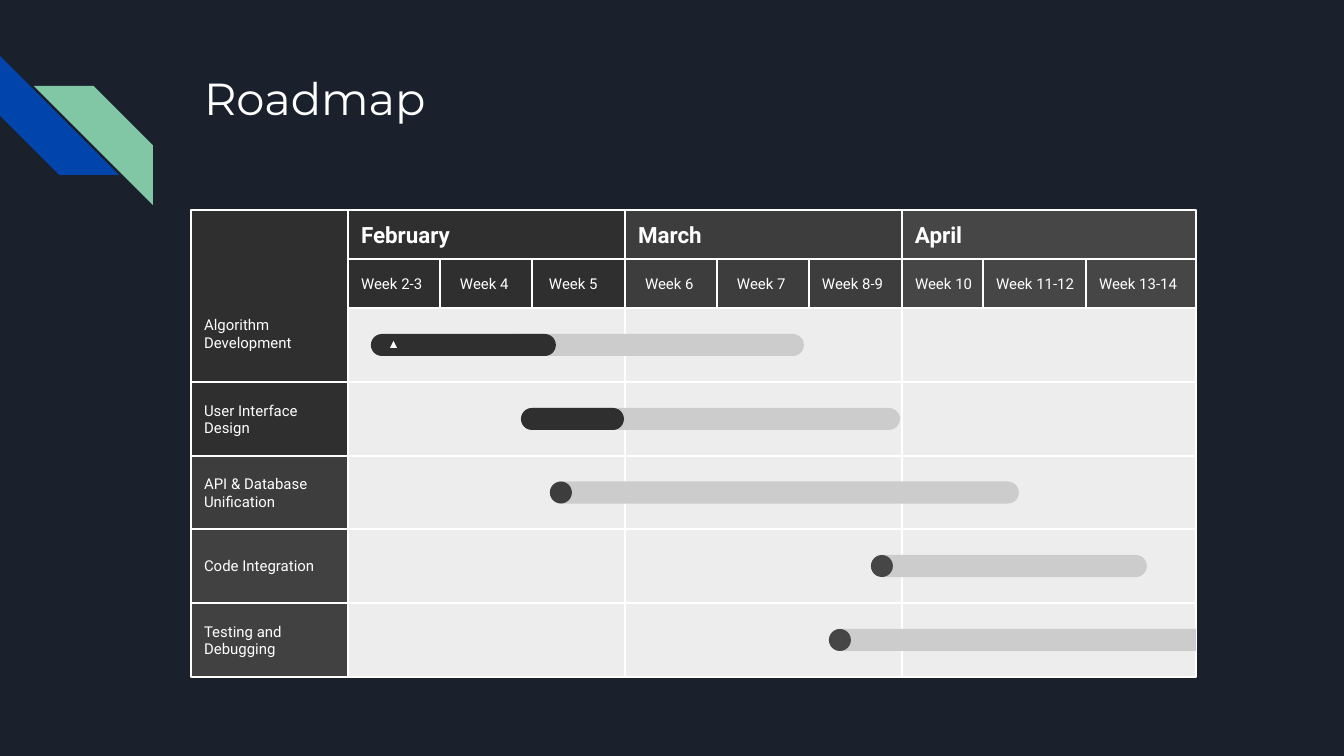
from dataclasses import dataclass

from pptx import Presentation
from pptx.dml.color import RGBColor
from pptx.enum.shapes import MSO_SHAPE
from pptx.enum.text import MSO_ANCHOR, MSO_AUTO_SIZE, PP_ALIGN
from pptx.util import Emu, Pt


@dataclass(frozen=True)
class Theme:
    background: str = "1B212C"
    white: str = "FFFFFF"
    blue: str = "0145AC"
    green: str = "82C7A5"
    cell: str = "EDEDED"
    planned: str = "CCCCCC"
    dark: str = "2F2F2F"
    medium: str = "3D3D3D"
    soft: str = "414141"
    light: str = "464646"
    title_font: str = "Montserrat"
    body_font: str = "Roboto"
    title_size: int = 24
    month_size: int = 12
    body_size: int = 8
    border: float = 0.75


THEME = Theme()
EMU_PER_PX = 914400 / 134.4
INSET = 13

# Chart grid
LABEL_LEFT, GRID_LEFT, GRID_RIGHT = 191, 348, 1196
MONTH_TOP, WEEK_TOP, GRID_TOP = 210, 259, 308
ROW_HEIGHT = 73.8
BAR_HEIGHT = 22

# Month: name, left, fill, weeks as (label, left, width, extra indent)
MONTHS = [
    ("February", GRID_LEFT, THEME.dark,
     [("Week 2-3", 348, 92, 0), ("Week 4", 440, 92, 7), ("Week 5", 532, 103, 4)]),
    ("March", 625, THEME.medium,
     [("Week 6", 625, 92, 7), ("Week 7", 717, 92, 7), ("Week 8-9", 809, 93, 0)]),
    ("April", 902, THEME.light,
     [("Week 10", 902, 92, 0), ("Week 11-12", 983, 110, 0), ("Week 13-14", 1086, 110, 0)]),
]

# Task: name, label fill, planned (left, right), done (left, right), done fill
TASKS = [
    ("Algorithm Development", THEME.dark, (504, 804), (371, 556), THEME.dark),
    ("User Interface Design", THEME.dark, (521, 900), (521, 624), THEME.dark),
    ("API & Database Unification", THEME.medium, (550, 1019), (550, 572), THEME.medium),
    ("Code Integration", THEME.soft, (871, 1147), (871, 893), THEME.light),
    ("Testing and Debugging", THEME.soft, (829, GRID_RIGHT), (829, 851), THEME.light),
]


def px(length):
    return Emu(round(length * EMU_PER_PX))


def rgb(color):
    return RGBColor.from_string(color)


def row_top(row):
    return round(GRID_TOP + row * ROW_HEIGHT)


def add_run(paragraph, text, font, size, bold=False):
    run = paragraph.add_run()
    run.text = text
    run.font.name = font
    run.font.size = Pt(size)
    run.font.bold = bold
    run.font.color.rgb = rgb(THEME.white)


def set_insets(frame, left=INSET, bottom=INSET):
    frame.margin_left, frame.margin_bottom = px(left), px(bottom)
    frame.margin_top = frame.margin_right = px(INSET)
    frame.word_wrap = True


def add_solid(slide, preset, left, top, width, height, fill):
    shape = slide.shapes.add_shape(preset, px(left), px(top), px(width), px(height))
    shape.shadow.inherit = False
    shape.fill.solid()
    shape.fill.fore_color.rgb = rgb(fill)
    shape.line.fill.background()
    return shape


def flip_horizontally(shape):
    shape.element.spPr.xfrm.set("flipH", "1")


def add_cell(slide, left, top, right, bottom, fill):
    cell = add_solid(slide, MSO_SHAPE.RECTANGLE, left, top, right - left, bottom - top, fill)
    cell.line.color.rgb = rgb(THEME.white)
    cell.line.width = Pt(THEME.border)
    return cell


def add_label(cell, text, size=THEME.body_size, bold=False, indent=0,
              anchor=MSO_ANCHOR.MIDDLE, bottom=INSET):
    frame = cell.text_frame
    set_insets(frame, INSET + indent, bottom)
    frame.vertical_anchor = anchor
    paragraph = frame.paragraphs[0]
    paragraph.alignment = PP_ALIGN.LEFT
    add_run(paragraph, text, THEME.body_font, size, bold)


def add_bar(slide, row, span, fill):
    """A bar lying on its side; it is cut square at the edge of the grid."""
    left, right = span
    length = right - left
    middle = (row_top(row) + row_top(row + 1)) / 2
    bar = add_solid(slide, MSO_SHAPE.ROUND_2_SAME_RECTANGLE,
                    (left + right - BAR_HEIGHT) / 2, middle - length / 2,
                    BAR_HEIGHT, length, fill)
    bar.rotation = 90
    flip_horizontally(bar)
    bar.adjustments[0] = 0 if right == GRID_RIGHT else 0.5
    bar.adjustments[1] = 0.5


def add_stripes(slide):
    blue = add_solid(slide, MSO_SHAPE.DIAGONAL_STRIPE, 0, 56, 119, 119, THEME.blue)
    blue.rotation = 270
    green = add_solid(slide, MSO_SHAPE.DIAGONAL_STRIPE, 34, 86, 119, 119, THEME.green)
    flip_horizontally(green)


def format_title(slide):
    title = slide.shapes.title
    title.left, title.top, title.width, title.height = map(px, (191, 58, 1035, 134))
    frame = title.text_frame
    set_insets(frame)
    frame.auto_size = MSO_AUTO_SIZE.NONE
    frame.vertical_anchor = MSO_ANCHOR.TOP
    paragraph = frame.paragraphs[0]
    paragraph.alignment = PP_ALIGN.LEFT
    add_run(paragraph, "Roadmap", THEME.title_font, THEME.title_size)


def add_calendar(slide):
    month_ends = [month[1] for month in MONTHS[1:]] + [GRID_RIGHT]
    for (name, left, fill, weeks), right in zip(MONTHS, month_ends):
        for row in range(len(TASKS)):
            add_cell(slide, left, row_top(row), right, row_top(row + 1), THEME.cell)
        month = add_cell(slide, left, MONTH_TOP, right, WEEK_TOP, fill)
        add_label(month, name, THEME.month_size, bold=True)
        for label, week_left, width, indent in weeks:
            week = add_cell(slide, week_left, WEEK_TOP, week_left + width, GRID_TOP, fill)
            add_label(week, label, indent=indent)


def add_tasks(slide):
    for row, (name, fill, planned, done, done_fill) in enumerate(TASKS):
        # The first label also fills the header corner
        top = row_top(row) if row else MONTH_TOP
        task = add_cell(slide, LABEL_LEFT, top, GRID_LEFT, row_top(row + 1), fill)
        if row:
            add_label(task, name)
        else:
            add_label(task, name, anchor=MSO_ANCHOR.BOTTOM, bottom=31)
        add_bar(slide, row, planned, THEME.planned)
        add_bar(slide, row, done, done_fill)


def main():
    deck = Presentation()
    deck.slide_width, deck.slide_height = px(1344), px(756)
    slide = deck.slides.add_slide(deck.slide_layouts[5])
    slide.background.fill.solid()
    slide.background.fill.fore_color.rgb = rgb(THEME.background)

    # Heading
    add_stripes(slide)
    format_title(slide)

    # Roadmap
    add_calendar(slide)
    add_tasks(slide)

    # Start marker
    add_solid(slide, MSO_SHAPE.ISOSCELES_TRIANGLE, 390, 341, 7, 7, THEME.white)

    deck.save("out.pptx")


main()
